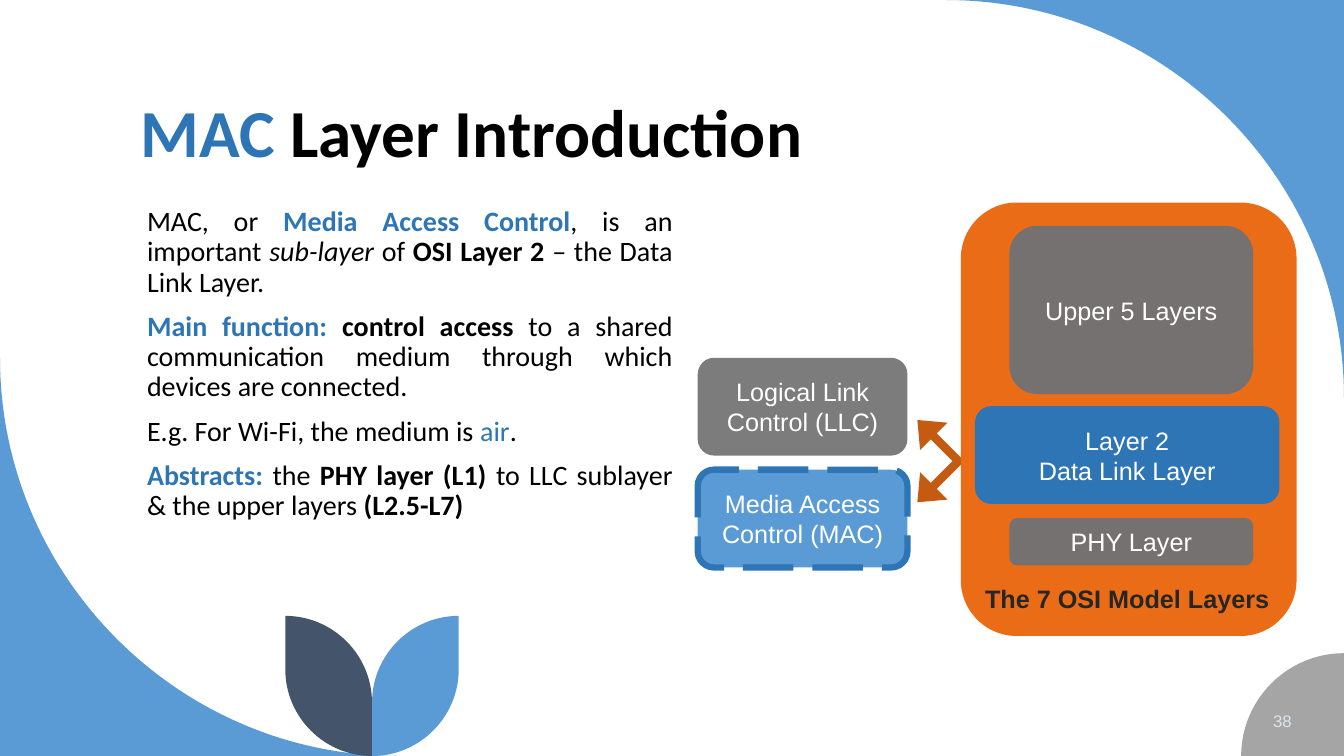
from lxml.etree import SubElement
from pptx import Presentation
from pptx.dml.color import RGBColor
from pptx.enum.dml import MSO_LINE
from pptx.enum.shapes import MSO_SHAPE
from pptx.enum.text import MSO_ANCHOR, PP_ALIGN
from pptx.oxml.ns import qn
from pptx.util import Inches, Pt

WIDTH, HEIGHT = 13.33, 7.5
ROUNDNESS = 0.55  # handle length that makes a Bezier curve a quarter circle
COLORS = {
    "blue": "5B9BD5", "deep_blue": "2E75B6", "navy": "44546A",
    "silver": "A5A5A5", "gray": "7C7C7C", "warm_gray": "767171",
    "orange": "EB6C17", "rust": "C55A11", "black": "000000",
    "charcoal": "262626", "white": "FFFFFF", "pale": "DAE5EF",
}

# Each run is its text followed by its style letters:
# b bold, i italic, h highlight colour.
TITLE = [[("MAC", "bh"), (" Layer Introduction", "b")]]
BODY = [
    [("MAC, or ", ""), ("Media Access Control", "bh"), (", is an important ", ""),
     ("sub-layer", "i"), (" of ", ""), ("OSI Layer 2 ", "b"),
     ("– the Data Link Layer.", "")],
    [("Main function: ", "bh"), ("control access ", "b"),
     ("to a shared communication medium through which devices are connected.", "")],
    [("E.g. For Wi-Fi, the medium is ", ""), ("air", "h"), (".", "")],
    [("Abstracts: ", "bh"), ("the ", ""), ("PHY layer (L1) ", "b"),
     ("to LLC sublayer & the upper layers ", ""), ("(L2.5-L7)", "b")],
]


def color(name):
    return RGBColor.from_string(COLORS[name])


def paint(shape, fill):
    shape.shadow.inherit = False
    shape.fill.solid()
    shape.fill.fore_color.rgb = color(fill)
    shape.line.fill.background()


def write(shape, paragraphs, size, ink, font="Arial", align=PP_ALIGN.CENTER,
          anchor=MSO_ANCHOR.MIDDLE, line_spacing=None, space_before=0):
    frame = shape.text_frame
    frame.word_wrap = True
    frame.vertical_anchor = anchor
    for index, runs in enumerate(paragraphs):
        paragraph = frame.add_paragraph() if index else frame.paragraphs[0]
        paragraph.alignment = align
        paragraph.space_before = Pt(space_before)
        if line_spacing:
            paragraph.line_spacing = line_spacing
        for text, style in runs:
            run = paragraph.add_run()
            run.text = text
            run.font.name = font
            run.font.size = Pt(size)
            run.font.bold = "b" in style
            run.font.italic = "i" in style
            run.font.color.rgb = color("deep_blue" if "h" in style else ink)


def add_text(shapes, box, paragraphs, size, ink, **options):
    textbox = shapes.add_textbox(*map(Inches, box))
    write(textbox, paragraphs, size, ink, **options)


def add_block(shapes, box, fill, lines=()):
    """Add a rounded rectangle with centred white lines."""
    block = shapes.add_shape(MSO_SHAPE.ROUNDED_RECTANGLE, *map(Inches, box))
    paint(block, fill)
    if lines:
        write(block, [[(line, "")] for line in lines], 18, "white")
    return block


def add_outline(shapes, points, bends, fill):
    """Add a closed outline; bends maps a point's index to the corner that
    the quarter curve arriving at that point rounds off."""
    corners = [(Inches(x), Inches(y)) for x, y in points]
    builder = shapes.build_freeform(*corners[0])
    builder.add_line_segments(corners[1:], close=True)
    outline = builder.convert_to_shape()
    paint(outline, fill)
    segments = list(outline.element.iter(qn("a:lnTo")))
    for index, (bend_x, bend_y) in bends.items():
        segment = segments[index - 1]
        segment.tag = qn("a:cubicBezTo")
        segment.clear()
        handles = [(x + ROUNDNESS * (bend_x - x), y + ROUNDNESS * (bend_y - y))
                   for x, y in points[index - 1:index + 1]]
        for x, y in handles + [points[index]]:
            SubElement(segment, qn("a:pt"), x=str(Inches(x) - outline.left),
                       y=str(Inches(y) - outline.top))


def add_corner(shapes, corner, radius, inward, fill, hollow):
    """Fill a slide corner, bounded by a hollow or bulging quarter circle."""
    x, y = corner
    far_x, far_y = x + inward[0] * radius, y + inward[1] * radius
    bend = corner if hollow else (far_x, far_y)
    add_outline(shapes, [corner, (x, far_y), (far_x, y)], {2: bend}, fill)


def add_leaves(shapes, stem, top, bottom, radius):
    """Add two mirrored leaves that meet at the stem."""
    group = shapes.add_group_shape().shapes
    for side, fill in ((1, "blue"), (-1, "navy")):
        edge = stem + side * radius
        points = [(edge, top), (edge, bottom - radius), (stem, bottom),
                  (stem, top + radius), (edge, top)]
        add_outline(group, points, {2: (edge, bottom), 4: (stem, top)}, fill)


def add_sublayers(shapes, left, top):
    """Add the two sublayers and the arrow that splits Layer 2 into them."""
    width, height, pitch = 2.08, 0.97, 1.11
    arrow = shapes.add_shape(MSO_SHAPE.LEFT_UP_ARROW, Inches(left + 1.93),
                             Inches(top + 0.64), Inches(0.77), Inches(0.77))
    for index, value in enumerate((0.11, 0.25, 0.3)):
        arrow.adjustments[index] = value
    arrow.rotation = 315
    paint(arrow, "rust")
    add_block(shapes, (left, top, width, height), "gray",
              ["Logical Link Control (LLC)"])
    mac = add_block(shapes, (left, top + pitch, width, height), "blue",
                    ["Media Access Control (MAC)"])
    mac.line.color.rgb = color("deep_blue")
    mac.line.width = Pt(4.5)
    mac.line.dash_style = MSO_LINE.LONG_DASH


def add_osi_model(shapes, left, top, width, height):
    group = shapes.add_group_shape().shapes
    add_block(group, (left, top, width, height), "orange")
    narrow_left, narrow = left + 0.48, 2.42
    wide_left, wide = left + 0.14, 3.02
    add_block(group, (narrow_left, top + 0.23, narrow, 1.67), "warm_gray",
              ["Upper 5 Layers"])
    add_block(group, (narrow_left, top + 3.13, narrow, 0.47), "warm_gray",
              ["PHY Layer"])
    add_block(group, (wide_left, top + 2.02, wide, 0.97), "deep_blue",
              ["Layer 2", "Data Link Layer"])
    add_text(group, (wide_left, top + 3.73, wide, 0.4),
             [[("The 7 OSI Model Layers", "b")]], 18, "charcoal",
             anchor=MSO_ANCHOR.TOP)


def main():
    presentation = Presentation()
    presentation.slide_width = Inches(WIDTH)
    presentation.slide_height = Inches(HEIGHT)
    slide = presentation.slides.add_slide(presentation.slide_layouts[6])
    shapes = slide.shapes

    add_corner(shapes, (WIDTH, 0), 3.95, (-1, 1), "blue", hollow=True)
    add_corner(shapes, (0, HEIGHT), 3.95, (1, -1), "blue", hollow=True)
    add_corner(shapes, (WIDTH, HEIGHT), 1.02, (-1, -1), "silver", hollow=False)
    add_leaves(shapes, stem=3.69, top=6.11, bottom=HEIGHT, radius=0.86)
    add_text(shapes, (1.3, 0.31, 10.69, 1.45), TITLE, 48, "black", font="Calibri",
             align=PP_ALIGN.LEFT, anchor=MSO_ANCHOR.BOTTOM, line_spacing=0.9)
    add_text(shapes, (1.36, 2.01, 5.41, 3.97), BODY, 20, "black", font="Calibri",
             align=PP_ALIGN.JUSTIFY, anchor=MSO_ANCHOR.TOP, line_spacing=0.9,
             space_before=10)
    add_text(shapes, (11.1, 6.95, 1.81, 0.4), [[("38", "")]], 12, "pale",
             align=PP_ALIGN.RIGHT)
    add_sublayers(shapes, 6.92, 3.55)
    add_osi_model(shapes, 9.53, 2.01, 3.33, 4.3)
    presentation.save("out.pptx")


if __name__ == "__main__":
    main()
